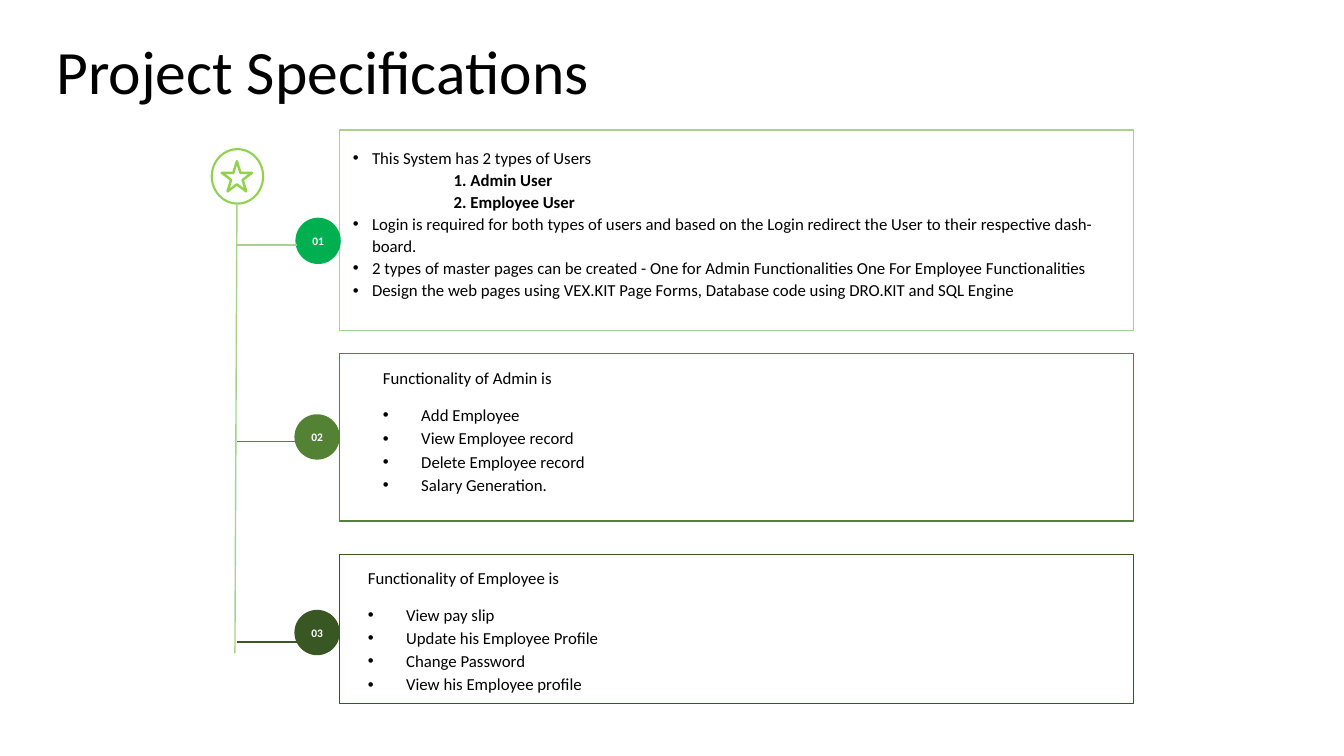
from dataclasses import dataclass

from lxml.etree import SubElement
from pptx import Presentation
from pptx.dml.color import RGBColor
from pptx.enum.shapes import MSO_CONNECTOR as CONN, MSO_SHAPE as SHAPE
from pptx.enum.text import MSO_ANCHOR as ANCHOR, PP_ALIGN as ALIGN
from pptx.oxml.ns import qn
from pptx.util import Emu, Pt

PX = 9144  # 100 px to the inch


@dataclass(frozen=True)
class Theme:
    font: str = "Calibri"
    text: str = "000000"
    badge_text: str = "FFFFFF"
    icon: str = "92D050"
    light: str = "A9D18E"
    bright: str = "00B050"
    medium: str = "548235"
    dark: str = "385723"
    title_pt: float = 44
    body_pt: float = 12
    badge_pt: float = 8.2
    line_pt: float = 1


@dataclass(frozen=True)
class Para:
    text: str
    bold: bool = False
    bullet: bool = False
    left: int = 0
    spacing: float = 1.15
    after: int = 0


@dataclass(frozen=True)
class Box:
    x: int
    y: int
    w: int
    h: int


@dataclass(frozen=True)
class Section:
    number: str
    panel: Box
    badge: Box
    branch_y: int
    line: str
    fill: str


T = Theme()
SPINE_X = 235
BRANCH_END = 295

SECTIONS = [
    Section("03", Box(337, 550, 787, 148), Box(292, 605, 45, 45), 637, T.dark, T.dark),
    Section("02", Box(337, 351, 787, 166), Box(292, 411, 45, 45), 438, T.medium, T.medium),
    Section("01", Box(337, 129, 787, 199), Box(293, 216, 45, 46), 243, T.light, T.bright),
]


def overview_item(text: str) -> Para:
    return Para(text, bullet=True, left=19, spacing=1.1)


def user_type(text: str) -> Para:
    return Para(text, bold=True, left=100, spacing=1.1)


OVERVIEW = [
    overview_item("This System has 2 types of Users"),
    user_type("1. Admin User"),
    user_type("2. Employee User"),
    overview_item("Login is required for both types of users and based on the Login "
                  "redirect the User to their respective dash- board."),
    overview_item("2 types of master pages can be created - One for Admin "
                  "Functionalities One For Employee Functionalities"),
    overview_item("Design the web pages using VEX.KIT Page Forms, Database code "
                  "using DRO.KIT and SQL Engine"),
]

ROLES = [
    (Box(370, 357, 667, 139), "Functionality of Admin is",
     ["Add Employee", "View Employee record", "Delete Employee record",
      "Salary Generation."]),
    (Box(355, 555, 667, 139), "Functionality of Employee is",
     ["View pay slip", "Update his Employee Profile", "Change Password",
      "View his Employee profile"]),
]


def px(n: int) -> Emu:
    return Emu(n * PX)


def place(box: Box) -> list[Emu]:
    return [px(n) for n in (box.x, box.y, box.w, box.h)]


def rgb(color: str) -> RGBColor:
    return RGBColor.from_string(color)


def write(sp, paras: list[Para], *, size: float = T.body_pt, color: str = T.text,
          align=ALIGN.LEFT, anchor=ANCHOR.TOP,
          insets: tuple[int, int, int, int] = (10, 5, 10, 5)) -> None:
    """Fill a shape with paragraphs; insets run left, top, right, bottom."""
    tf = sp.text_frame
    tf.word_wrap = True
    tf.vertical_anchor = anchor
    tf.margin_left, tf.margin_top, tf.margin_right, tf.margin_bottom = map(px, insets)
    for i, para in enumerate(paras):
        p = tf.add_paragraph() if i else tf.paragraphs[0]
        p.alignment = align
        p.line_spacing = para.spacing
        p.space_after = Pt(para.after)
        pPr = p._p.get_or_add_pPr()
        pPr.set("marL", str(px(para.left)))
        if para.bullet:
            pPr.set("indent", str(px(-para.left)))
            SubElement(pPr, qn("a:buFont")).set("typeface", "Arial")
            SubElement(pPr, qn("a:buChar")).set("char", "•")
        r = p.add_run()
        r.text = para.text
        r.font.name = T.font
        r.font.size = Pt(size)
        r.font.bold = para.bold
        r.font.color.rgb = rgb(color)


def add_shape(s, kind, box: Box, *, fill: str | None = None,
              line: str | None = None, width: float = T.line_pt):
    sp = s.shapes.add_shape(kind, *place(box))
    sp.shadow.inherit = False
    if fill:
        sp.fill.solid()
        sp.fill.fore_color.rgb = rgb(fill)
    else:
        sp.fill.background()
    if line:
        sp.line.color.rgb = rgb(line)
        sp.line.width = Pt(width)
    else:
        sp.line.fill.background()
    return sp


def add_line(s, x1: int, y1: int, x2: int, y2: int, color: str) -> None:
    cx = s.shapes.add_connector(CONN.STRAIGHT, px(x1), px(y1), px(x2), px(y2))
    cx.line.color.rgb = rgb(color)
    cx.line.width = Pt(T.line_pt)
    SubElement(cx._element.spPr, qn("a:effectLst"))


def add_text(s, box: Box, paras: list[Para], **fmt) -> None:
    write(s.shapes.add_textbox(*place(box)), paras, **fmt)


def main() -> None:
    prs = Presentation()
    prs.slide_width, prs.slide_height = px(1333), px(750)
    s = prs.slides.add_slide(prs.slide_layouts[6])

    # Title
    add_text(s, Box(46, 13, 1150, 122), [Para("Project Specifications", spacing=0.9)],
             size=T.title_pt, anchor=ANCHOR.MIDDLE)

    # Panels with numbered badges
    for sec in SECTIONS:
        panel = add_shape(s, SHAPE.RECTANGLE, sec.panel, line=sec.line)
        if sec.number == "01":
            write(panel, OVERVIEW, anchor=ANCHOR.MIDDLE, insets=(13, 4, 6, 19))
        badge = add_shape(s, SHAPE.OVAL, sec.badge, fill=sec.fill)
        write(badge, [Para(sec.number, bold=True, spacing=1.0)], size=T.badge_pt,
              color=T.badge_text, align=ALIGN.CENTER, anchor=ANCHOR.MIDDLE,
              insets=(0, 0, 0, 0))

    # Star icon
    add_shape(s, SHAPE.STAR_5_POINT, Box(220, 160, 30, 30), line=T.icon, width=1.75)
    add_shape(s, SHAPE.OVAL, Box(210, 148, 51, 54), line=T.icon, width=1.5)

    # Spine and branches
    add_line(s, SPINE_X, 201, 233, 648, T.light)
    for sec in reversed(SECTIONS):
        add_line(s, SPINE_X, sec.branch_y, BRANCH_END, sec.branch_y, sec.line)

    # Role functionality lists
    for box, heading, items in ROLES:
        add_text(s, box, [Para(heading, after=10)]
                 + [Para(item, bullet=True, left=38) for item in items])

    prs.save("out.pptx")


if __name__ == "__main__":
    main()
